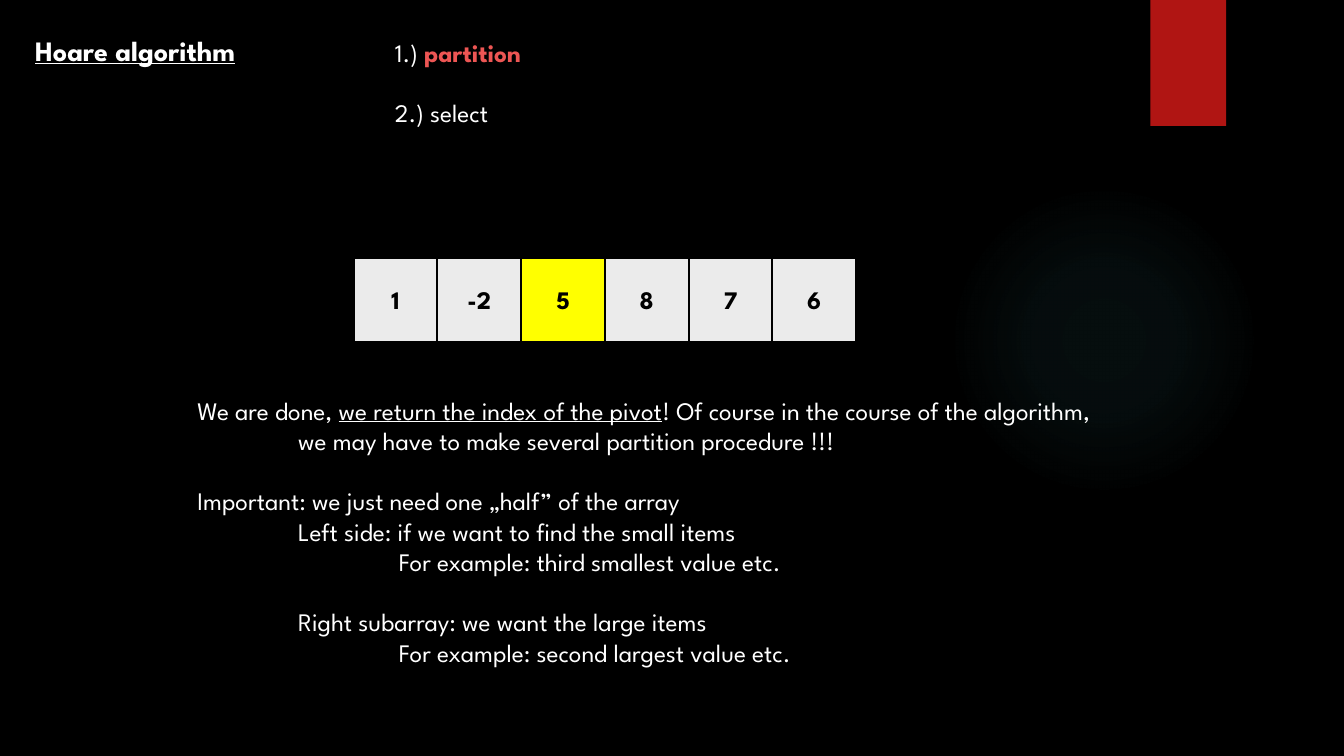
from lxml import etree
from pptx import Presentation
from pptx.dml.color import RGBColor
from pptx.enum.shapes import MSO_SHAPE as Shape
from pptx.enum.text import MSO_ANCHOR as Anchor, PP_ALIGN as Align
from pptx.oxml import parse_xml
from pptx.util import Pt

BLACK = RGBColor(0x00, 0x00, 0x00)
WHITE = RGBColor(0xFF, 0xFF, 0xFF)
RED = RGBColor(0xB0, 0x15, 0x13)
CORAL = RGBColor(0xED, 0x56, 0x54)
GREY = RGBColor(0xEB, 0xEB, 0xEB)
YELLOW = RGBColor(0xFF, 0xFF, 0x00)
FONT = "League Spartan"
BLANK_LINE = Pt(21.6)
INDENT = Pt(72)

prs = Presentation()
prs.slide_width, prs.slide_height = Pt(960), Pt(540)
slide = prs.slides.add_slide(prs.slide_layouts[6])
slide.background.fill.solid()
slide.background.fill.fore_color.rgb = BLACK


def add_run(paragraph, text, color=WHITE, size=18, bold=False, underline=False):
    run = paragraph.add_run()
    run.text = text
    font = run.font
    font.name, font.size, font.bold, font.underline = FONT, Pt(size), bold, underline
    font.color.rgb = color


def add_lines(left, top, width, height, lines):
    """Each line is (indent level, gap above, runs); a run is (text, font options)."""
    frame = slide.shapes.add_textbox(Pt(left), Pt(top), Pt(width), Pt(height)).text_frame
    frame.word_wrap = True
    for number, (level, gap, runs) in enumerate(lines):
        paragraph = frame.add_paragraph() if number else frame.paragraphs[0]
        if level:
            paragraph._p.get_or_add_pPr().set("marL", str(level * INDENT))
        if gap:
            paragraph.space_before = BLANK_LINE
        for text, options in runs:
            add_run(paragraph, text, **options)


# Faint round glow
glow = slide.shapes.add_shape(Shape.OVAL, Pt(677.5), Pt(131.8), Pt(221.8), Pt(221.8))
glow.shadow.inherit = False
glow.line.fill.background()
stops = "".join(
    f'<a:gs pos="{pos}000"><a:srgbClr val="50B9C1"><a:alpha val="{alpha}000"/></a:srgbClr></a:gs>'
    for pos, alpha in [(0, 7), (36, 6), (69, 0)])
gradient = parse_xml(
    '<a:gradFill xmlns:a="http://schemas.openxmlformats.org/drawingml/2006/main">'
    f'<a:gsLst>{stops}</a:gsLst><a:path path="circle">'
    '<a:fillToRect l="50000" t="50000" r="50000" b="50000"/></a:path></a:gradFill>')
glow._element.spPr.prstGeom.addnext(gradient)

# Red ribbon at the top edge
ribbon = slide.shapes.add_shape(Shape.RECTANGLE, Pt(821.8), Pt(0), Pt(54), Pt(90))
ribbon.shadow.inherit = False
ribbon.fill.solid()
ribbon.fill.fore_color.rgb = RED
ribbon.line.fill.background()

# Title and the two phases
add_lines(18, 20.2, 172, 31.5, [
    (0, False, [("Hoare algorithm", dict(size=20, bold=True, underline=True))])])
add_lines(275, 23, 114.5, 72.7, [
    (0, False, [("1.) ", {}), ("partition", dict(color=CORAL, bold=True))]),
    (0, True, [("2.) select", {})])])

# Array with the pivot highlighted
CELL = 59.8
PIVOT_INDEX = 2
for index, value in enumerate([1, -2, 5, 8, 7, 6]):
    cell = slide.shapes.add_shape(
        Shape.RECTANGLE, Pt(252.7 + index * CELL), Pt(184.3), Pt(CELL), Pt(CELL))
    cell.shadow.inherit = False
    cell.fill.solid()
    cell.fill.fore_color.rgb = YELLOW if index == PIVOT_INDEX else GREY
    cell.line.color.rgb = BLACK
    cell.line.width = Pt(1.5)
    cell.text_frame.vertical_anchor = Anchor.MIDDLE
    label = cell.text_frame.paragraphs[0]
    label.alignment = Align.CENTER
    add_run(label, str(value), BLACK, bold=True)

# Explanation
add_lines(133.9, 278.6, 787, 203.8, [
    (0, False, [("We are done, ", {}),
                ("we return the index of the pivot", dict(underline=True)),
                ("! Of course in the course of the algorithm,", {})]),
    (1, False, [("we may have to make several partition procedure !!!", {})]),
    (0, True, [("Important: we just need one „half” of the array", {})]),
    (1, False, [("Left side: if we want to find the small items", {})]),
    (2, False, [("For example: third smallest value etc.", {})]),
    (1, True, [("Right subarray: we want the large items", {})]),
    (2, False, [("For example: second largest value etc.", {})])])

prs.save("out.pptx")
